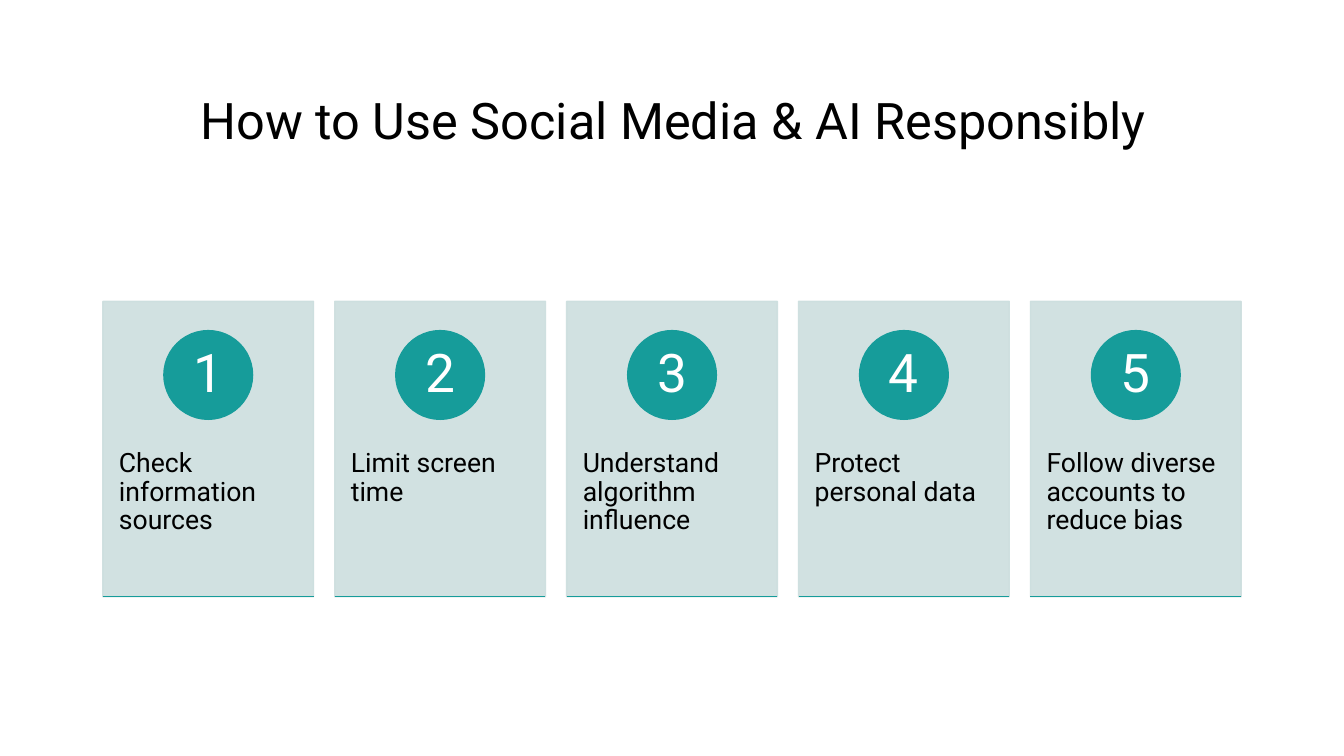
from dataclasses import dataclass

from lxml import etree
from pptx import Presentation
from pptx.dml.color import RGBColor
from pptx.enum import shapes, text
from pptx.oxml.ns import qn
from pptx.util import Inches, Pt


@dataclass(frozen=True)
class Theme:
    font: str = "Roboto"
    ink: str = "000000"
    light: str = "FFFFFF"
    card: str = "CCDEDE"
    accent: str = "169C9A"
    card_opacity: int = 90
    title_size: int = 36
    number_size: int = 38
    label_size: int = 19
    line_width: int = 1


THEME = Theme()

TITLE = "How to Use Social Media & AI Responsibly"
TIPS = [
    "Check information sources",
    "Limit screen time",
    "Understand algorithm influence",
    "Protect personal data",
    "Follow diverse accounts to reduce bias",
]

CARD_LEFT, CARD_TOP = 1.02, 2.99
CARD_WIDTH, CARD_HEIGHT = 2.09, 2.93
CARD_STEP = 2.3
BADGE_SIZE, BADGE_TOP = 0.88, 3.28
LABEL_TOP, LABEL_HEIGHT = 4.1, 1.76


def write(holder, wording, *, size, color=THEME.ink, align=text.PP_ALIGN.LEFT,
          anchor=text.MSO_ANCHOR.TOP, insets=(0.1, 0.05)):
    """Put one formatted paragraph in a shape; insets are (sides, top and bottom)."""
    frame = holder.text_frame
    frame.word_wrap = True
    frame.auto_size = text.MSO_AUTO_SIZE.NONE
    frame.vertical_anchor = anchor
    frame.margin_left = frame.margin_right = Inches(insets[0])
    frame.margin_top = frame.margin_bottom = Inches(insets[1])
    paragraph = frame.paragraphs[0]
    paragraph.alignment = align
    paragraph.line_spacing = 0.9
    run = paragraph.add_run()
    run.text = wording
    run.font.name = THEME.font
    run.font.size = Pt(size)
    run.font.color.rgb = RGBColor.from_string(color)


def set_opacity(shape, percent):
    """Make the solid fill and line of a shape partly transparent."""
    for color in shape.fill._xPr.iter(qn("a:srgbClr")):
        etree.SubElement(color, qn("a:alpha"), val=str(percent * 1000))


def add_filled(parent, kind, left, top, width, height, color):
    shape = parent.shapes.add_shape(
        kind, Inches(left), Inches(top), Inches(width), Inches(height))
    shape.shadow.inherit = False
    shape.fill.solid()
    shape.fill.fore_color.rgb = RGBColor.from_string(color)
    shape.line.color.rgb = RGBColor.from_string(color)
    shape.line.width = Pt(THEME.line_width)
    return shape


def add_rule(parent, left, top, width):
    rule = parent.shapes.add_connector(
        shapes.MSO_CONNECTOR.STRAIGHT,
        Inches(left), Inches(top), Inches(left + width), Inches(top))
    rule.line.color.rgb = RGBColor.from_string(THEME.accent)
    rule.line.width = Pt(THEME.line_width)
    etree.SubElement(rule._element.spPr, qn("a:effectLst"))


def add_tip(slide, number, tip, left):
    """Add one card: panel, label, numbered badge and base rule."""
    group = slide.shapes.add_group_shape()
    panel = add_filled(group, shapes.MSO_SHAPE.RECTANGLE,
                       left, CARD_TOP, CARD_WIDTH, CARD_HEIGHT, THEME.card)
    set_opacity(panel, THEME.card_opacity)

    label = group.shapes.add_textbox(Inches(left), Inches(LABEL_TOP),
                                     Inches(CARD_WIDTH), Inches(LABEL_HEIGHT))
    write(label, tip, size=THEME.label_size, insets=(0.16, 0.36))

    badge = add_filled(group, shapes.MSO_SHAPE.OVAL,
                       left + (CARD_WIDTH - BADGE_SIZE) / 2, BADGE_TOP,
                       BADGE_SIZE, BADGE_SIZE, THEME.accent)
    write(badge, str(number), size=THEME.number_size, color=THEME.light,
          align=text.PP_ALIGN.CENTER, anchor=text.MSO_ANCHOR.MIDDLE,
          insets=(0.07, 0.01))

    add_rule(group, left, CARD_TOP + CARD_HEIGHT, CARD_WIDTH)


def add_title(slide):
    title = slide.shapes.title
    title.left, title.top = Inches(1.67), Inches(0.6)
    title.width, title.height = Inches(10.02), Inches(1.24)
    write(title, TITLE, size=THEME.title_size,
          align=text.PP_ALIGN.CENTER, anchor=text.MSO_ANCHOR.MIDDLE)


def main():
    deck = Presentation()
    deck.slide_width, deck.slide_height = Inches(13.33), Inches(7.5)
    title_only = deck.slide_layouts[5]
    slide = deck.slides.add_slide(title_only)
    add_title(slide)
    for index, tip in enumerate(TIPS):
        add_tip(slide, index + 1, tip, CARD_LEFT + index * CARD_STEP)
    deck.save("out.pptx")


if __name__ == "__main__":
    main()
